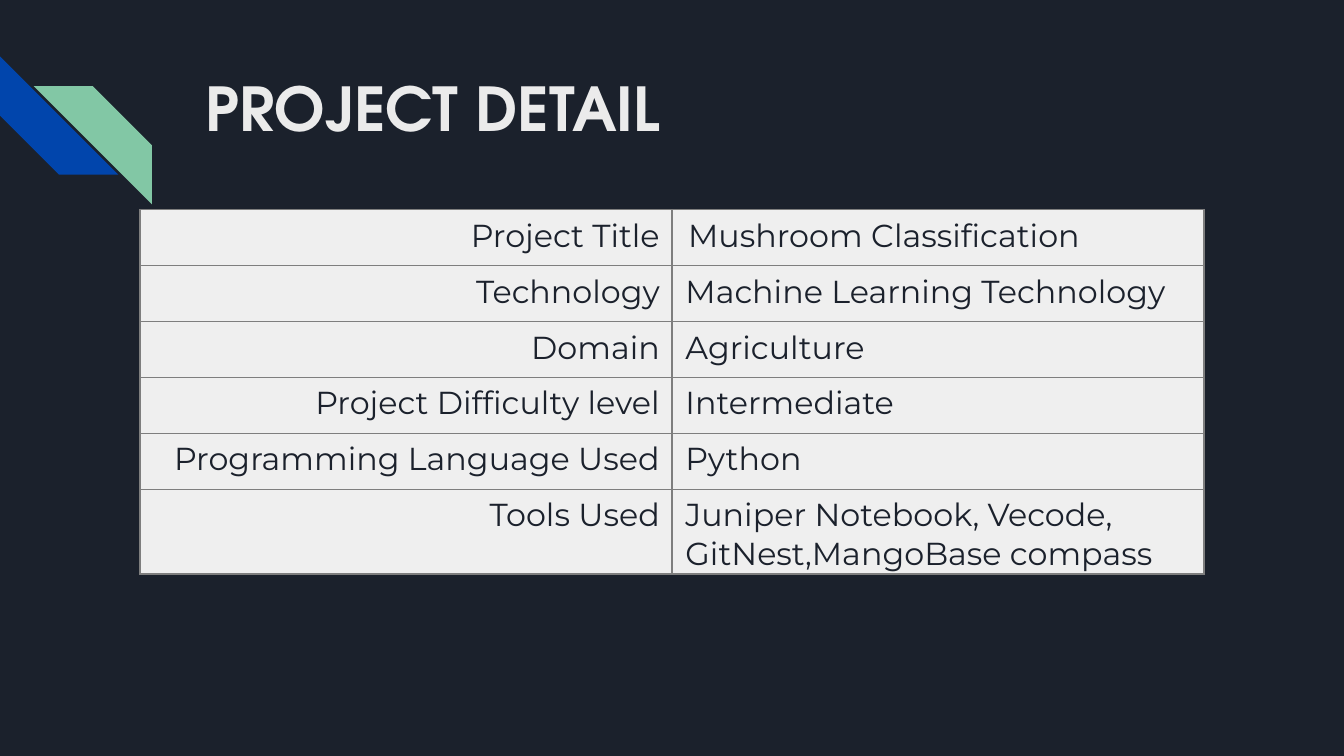
import dataclasses

import pptx
import pptx.dml.color
import pptx.enum.shapes
import pptx.enum.text
import pptx.oxml
import pptx.oxml.ns
import pptx.util

Inches = pptx.util.Inches
Align = pptx.enum.text.PP_ALIGN
Anchor = pptx.enum.text.MSO_ANCHOR


@dataclasses.dataclass(frozen=True)
class Theme:
    background: str = "1B212C"
    title: str = "EBEBEB"
    blue: str = "0145AC"
    green: str = "82C7A5"
    cell: str = "EFEFEF"
    border: str = "7E7E7E"
    text: str = "1B212C"
    title_font: str = "TeX Gyre Adventor"
    text_font: str = "Montserrat"
    title_size: float = 32.4
    text_size: float = 17
    border_width: float = 1


THEME = Theme()

DETAILS = [
    ("Project Title", "Mushroom Classification"),
    ("Technology", "Machine Learning Technology"),
    ("Domain", "Agriculture"),
    ("Project Difficulty level", "Intermediate"),
    ("Programming Language Used", "Python"),
    ("Tools Used", "Juniper Notebook, Vecode, GitNest,MangoBase compass"),
]


def color(value):
    return pptx.dml.color.RGBColor.from_string(value)


def paint(fill, value):
    fill.solid()
    fill.fore_color.rgb = color(value)


def write(para, text, font, size, value, bold=False):
    span = para.add_run()
    span.text = text
    span.font.name = font
    span.font.size = pptx.util.Pt(size)
    span.font.bold = bold
    span.font.color.rgb = color(value)


def outline_cell(cell):
    """Draw all four borders; they must precede the fill in the cell properties."""
    properties = cell._tc.get_or_add_tcPr()
    width = pptx.util.Pt(THEME.border_width)
    for index, side in enumerate(("lnL", "lnR", "lnT", "lnB")):
        properties.insert(index, pptx.oxml.parse_xml(
            f'<a:{side} {pptx.oxml.ns.nsdecls("a")} w="{width}">'
            f'<a:solidFill><a:srgbClr val="{THEME.border}"/></a:solidFill></a:{side}>'))


def add_stripes(page, left, top):
    """Two diagonal stripes, the second offset down and to the right."""
    size = 0.88
    stripes = [(0, 0, 270, THEME.blue), (0.25, 0.22, 90, THEME.green)]
    for across, down, rotation, value in stripes:
        stripe = page.shapes.add_shape(
            pptx.enum.shapes.MSO_SHAPE.DIAGONAL_STRIPE,
            Inches(left + across), Inches(top + down), Inches(size), Inches(size))
        stripe.rotation = rotation
        stripe.shadow.inherit = False
        stripe.line.fill.background()
        paint(stripe.fill, value)


def add_title(page, left, top, width, height, text):
    title = page.shapes.title
    title.left, title.top = Inches(left), Inches(top)
    title.width, title.height = Inches(width), Inches(height)
    frame = title.text_frame
    frame.word_wrap = True
    frame.auto_size = pptx.enum.text.MSO_AUTO_SIZE.NONE
    frame.vertical_anchor = Anchor.TOP
    frame.margin_left = Inches(0.11)
    frame.margin_right = frame.margin_top = frame.margin_bottom = Inches(0.1)
    para = frame.paragraphs[0]
    para.alignment = Align.LEFT
    write(para, text, THEME.title_font, THEME.title_size, THEME.title, bold=True)


def add_details(page, left, top, width, height, details):
    """Label and value columns of equal width, aligned towards the middle."""
    table = page.shapes.add_table(
        len(details), 2, Inches(left), Inches(top),
        Inches(width), Inches(height)).table
    table.first_row = table.horz_banding = False
    for column in table.columns:
        column.width = Inches(width / 2)
    for row, texts in enumerate(details):
        for column, text in enumerate(texts):
            cell = table.cell(row, column)
            paint(cell.fill, THEME.cell)
            outline_cell(cell)
            cell.vertical_anchor = Anchor.TOP
            cell.margin_left = Inches(0.1 if column else 0)
            cell.margin_right = Inches(0 if column else 0.09)
            cell.margin_top, cell.margin_bottom = Inches(0.05), 0
            para = cell.text_frame.paragraphs[0]
            para.alignment = Align.LEFT if column else Align.RIGHT
            write(para, text, THEME.text_font, THEME.text_size, THEME.text)
    # The first value sits slightly further in
    table.cell(0, 1).margin_left = Inches(0.12)


def main():
    deck = pptx.Presentation()
    # Widescreen, 16 to 9
    deck.slide_width, deck.slide_height = Inches(10), Inches(10 * 9 / 16)
    page = deck.slides.add_slide(deck.slide_layouts.get_by_name("Title Only"))
    paint(page.background.fill, THEME.background)
    add_stripes(page, 0, 0.42)
    add_title(page, 1.42, 0.43, 7.7, 1, "PROJECT DETAIL")
    add_details(page, 1.04, 1.56, 7.92, 2.5, DETAILS)
    deck.save("out.pptx")


if __name__ == "__main__":
    main()
